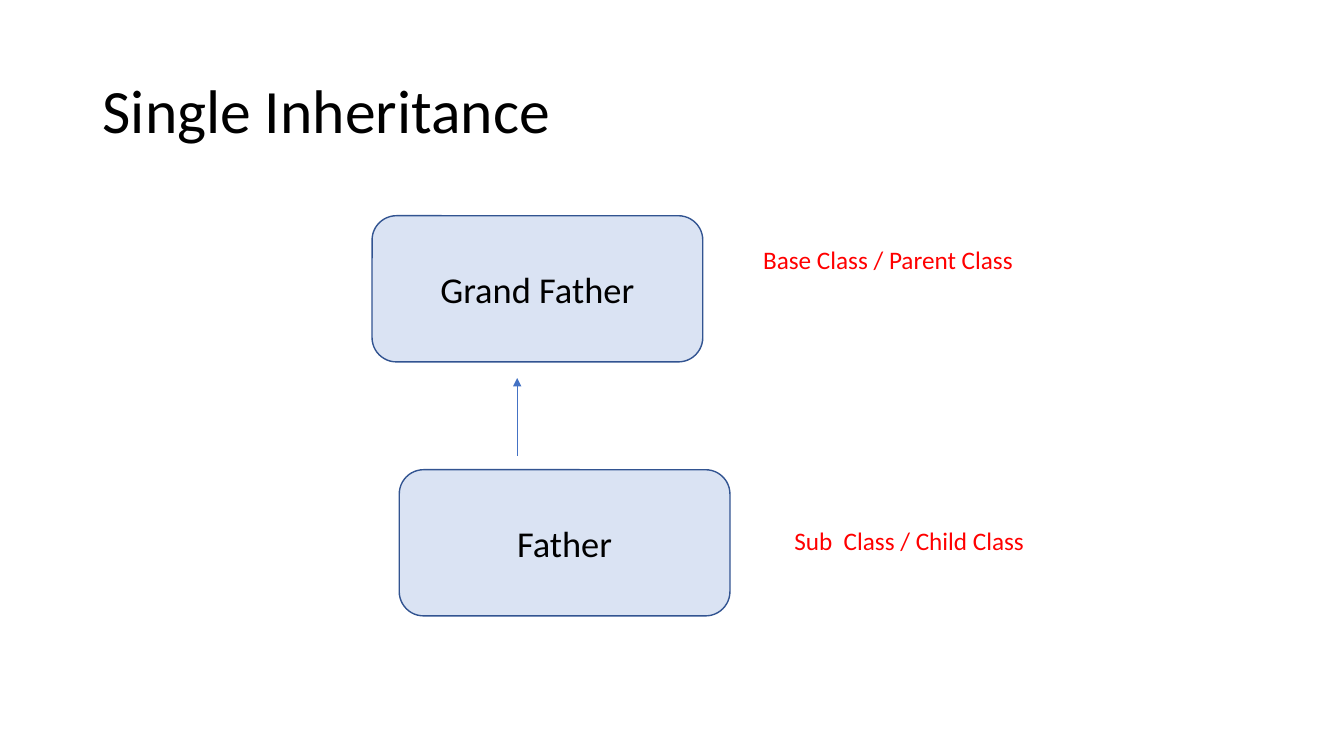
import pptx
import pptx.util
import pptx.dml.color
import pptx.enum.shapes
import pptx.enum.text
import pptx.oxml
import pptx.oxml.ns
from pptx.util import Inches

ALIGN = pptx.enum.text.PP_ALIGN
ANCHOR = pptx.enum.text.MSO_ANCHOR
CLASS_W, CLASS_H = 3.28, 1.45


def rgb(value):
    return pptx.dml.color.RGBColor.from_string(value)


def write(s, text, size, color="000000", anchor=ANCHOR.MIDDLE, **paragraph_format):
    tf = s.text_frame
    tf.word_wrap = True
    tf.vertical_anchor = anchor
    p = tf.paragraphs[0]
    for name, value in paragraph_format.items():
        setattr(p, name, value)
    r = p.add_run()
    r.text = text
    for name, value in {"name": "Calibri", "size": pptx.util.Pt(size)}.items():
        setattr(r.font, name, value)
    r.font.color.rgb = rgb(color)


def add_title(sp, left, top, width, height, text):
    s = sp.add_textbox(Inches(left), Inches(top), Inches(width), Inches(height))
    write(s, text, 44, line_spacing=0.9)


def add_class(sp, left, top, name, role, role_dx, role_dy):
    # Class box
    s = sp.add_shape(pptx.enum.shapes.MSO_SHAPE.ROUNDED_RECTANGLE,
                     Inches(left), Inches(top), Inches(CLASS_W), Inches(CLASS_H))
    s.shadow.inherit = False
    s.fill.solid()
    s.fill.fore_color.rgb = rgb("DAE3F3")
    s.line.color.rgb = rgb("325491")
    s.line.width = pptx.util.Pt(1)
    write(s, name, 26, alignment=ALIGN.CENTER)

    # Role beside the box
    label = sp.add_textbox(Inches(left + CLASS_W + role_dx), Inches(top + role_dy),
                           Inches(2.98), Inches(0.4))
    write(label, role, 18, "FF0000", ANCHOR.TOP)
    label.text_frame.auto_size = pptx.enum.text.MSO_AUTO_SIZE.SHAPE_TO_FIT_TEXT


def add_arrow(sp, x, start_y, end_y):
    s = sp.add_connector(pptx.enum.shapes.MSO_CONNECTOR.STRAIGHT,
                         Inches(x), Inches(start_y), Inches(x), Inches(end_y))
    s.line.color.rgb = rgb("4472C4")
    s.line.width = pptx.util.Pt(0.5)
    tail = pptx.oxml.parse_xml(
        f'<a:tailEnd {pptx.oxml.ns.nsdecls("a")} type="triangle"/>')
    s.line._get_or_add_ln().append(tail)
    s._element.spPr.append(
        pptx.oxml.parse_xml(f'<a:effectLst {pptx.oxml.ns.nsdecls("a")}/>'))


def main():
    prs = pptx.Presentation()
    prs.slide_width, prs.slide_height = Inches(13.33), Inches(7.5)
    sp = prs.slides.add_slide(prs.slide_layouts[6]).shapes

    add_title(sp, 0.92, 0.4, 11.5, 1.45, "Single Inheritance")

    # Parent above, child below, arrow from child to parent
    add_class(sp, 3.69, 2.14, "Grand Father", "Base Class / Parent Class", 0.5, 0.23)
    add_arrow(sp, 5.13, 4.52, 3.75)
    add_class(sp, 3.96, 4.66, "Father", "Sub  Class / Child Class", 0.54, 0.5)

    prs.save("out.pptx")


if __name__ == "__main__":
    main()
